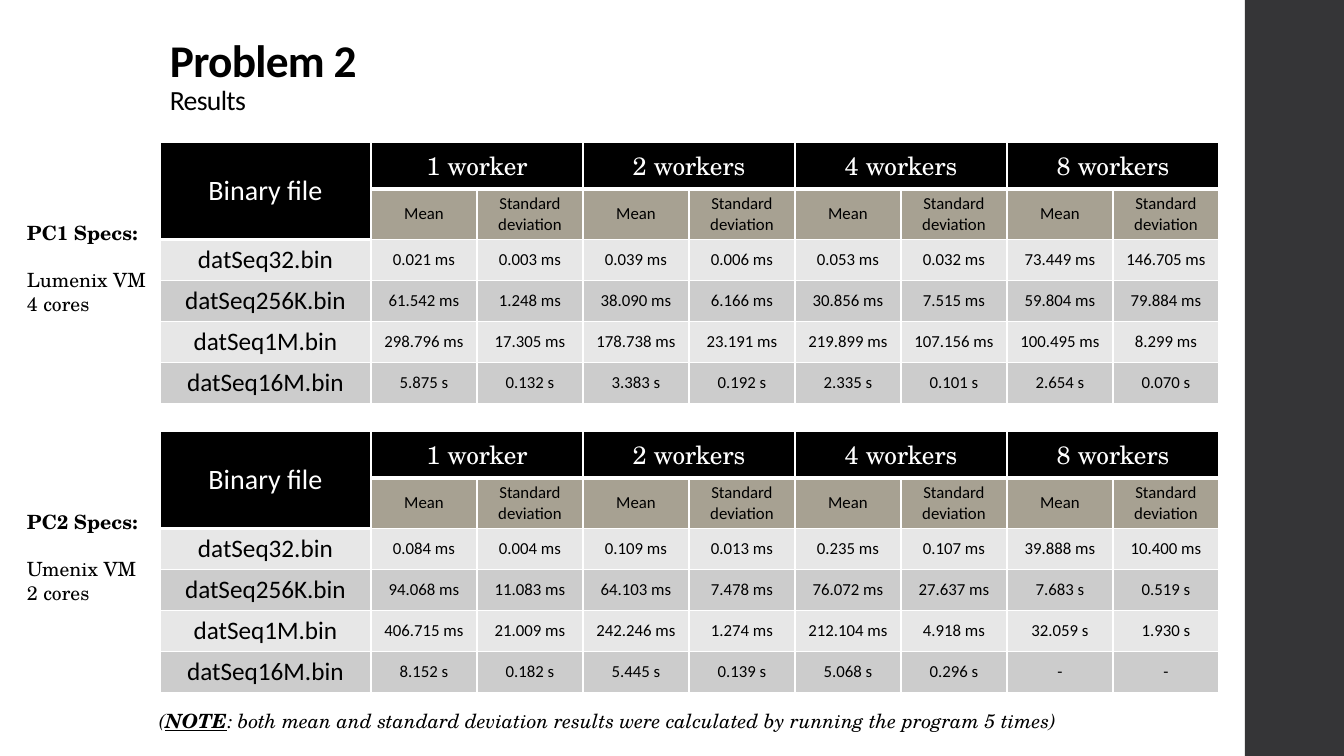
from dataclasses import dataclass

from lxml import etree
from pptx import Presentation
from pptx.dml.color import RGBColor
from pptx.enum.shapes import MSO_SHAPE
from pptx.enum.text import MSO_ANCHOR, PP_ALIGN
from pptx.oxml.ns import qn
from pptx.util import Emu, Pt

RECTANGLE = MSO_SHAPE.RECTANGLE
CENTER = PP_ALIGN.CENTER
TOP, MIDDLE, BOTTOM = MSO_ANCHOR.TOP, MSO_ANCHOR.MIDDLE, MSO_ANCHOR.BOTTOM
EMU_PER_PX = 914400 / 100.8


@dataclass(frozen=True)
class Theme:
    """Colours, fonts and type sizes of the slide."""
    ink: str = "000000"
    paper: str = "FFFFFF"
    sidebar: str = "353537"
    measure: str = "A7A192"
    bands: tuple = ("E7E7E7", "CCCCCC")
    sans: str = "Calibri"
    serif: str = "TeX Gyre Schola"
    title: float = 32.4
    subtitle: float = 19.8
    corner: int = 20
    heading: int = 18
    note: int = 14
    value: int = 12
    thin: int = 1
    thick: int = 3


THEME = Theme()
TABLE_LEFT = 160
COLUMNS = [211] + [106] * 8
ROWS = [47, 50] + [41] * 4
SPECS_DROP = 74
WORKERS = ["1 worker", "2 workers", "4 workers", "8 workers"]
FILES = ["datSeq32.bin", "datSeq256K.bin", "datSeq1M.bin", "datSeq16M.bin"]
PC1_TIMES = [
    ["0.021 ms", "0.003 ms", "0.039 ms", "0.006 ms", "0.053 ms", "0.032 ms", "73.449 ms", "146.705 ms"],
    ["61.542 ms", "1.248 ms", "38.090 ms", "6.166 ms", "30.856 ms", "7.515 ms", "59.804 ms", "79.884 ms"],
    ["298.796 ms", "17.305 ms", "178.738 ms", "23.191 ms", "219.899 ms", "107.156 ms", "100.495 ms", "8.299 ms"],
    ["5.875 s", "0.132 s", "3.383 s", "0.192 s", "2.335 s", "0.101 s", "2.654 s", "0.070 s"],
]
PC2_TIMES = [
    ["0.084 ms", "0.004 ms", "0.109 ms", "0.013 ms", "0.235 ms", "0.107 ms", "39.888 ms", "10.400 ms"],
    ["94.068 ms", "11.083 ms", "64.103 ms", "7.478 ms", "76.072 ms", "27.637 ms", "7.683 s", "0.519 s"],
    ["406.715 ms", "21.009 ms", "242.246 ms", "1.274 ms", "212.104 ms", "4.918 ms", "32.059 s", "1.930 s"],
    ["8.152 s", "0.182 s", "5.445 s", "0.139 s", "5.068 s", "0.296 s", "-", "-"],
]
COMPUTERS = [
    (142, ["PC1 Specs:", "Lumenix VM", "4 cores"], PC1_TIMES),
    (431, ["PC2 Specs:", "Umenix VM", "2 cores"], PC2_TIMES),
]


def px(length):
    """Turn pixels into EMU."""
    return Emu(round(length * EMU_PER_PX))


def set_font(font, face, size, color):
    """Set face, size and colour of a font."""
    font.name = face
    font.size = Pt(size)
    font.color.rgb = RGBColor.from_string(color)


def add_text_frame(page, left, top, width, height, anchor=TOP):
    """Add a wrapping text box and return its text frame."""
    frame = page.shapes.add_textbox(px(left), px(top), px(width), px(height)).text_frame
    frame.word_wrap = True
    frame.vertical_anchor = anchor
    return frame


def add_sidebar(page):
    """Add the dark band at the right edge."""
    band = page.shapes.add_shape(RECTANGLE, px(1245), 0, px(99), px(756))
    band.shadow.inherit = False
    band.fill.solid()
    band.fill.fore_color.rgb = RGBColor.from_string(THEME.sidebar)
    band.line.fill.background()


def add_title(page):
    """Add the title with its subtitle on a second line."""
    para = add_text_frame(page, TABLE_LEFT, 32, 1058, 90, BOTTOM).paragraphs[0]
    para.line_spacing = 0.9
    for text, size, bold in [("Problem 2", THEME.title, True), ("Results", THEME.subtitle, False)]:
        if para.runs:
            para.add_line_break()
        span = para.add_run()
        span.text = text
        set_font(span.font, THEME.sans, size, THEME.ink)
        span.font.bold = bold
        span.font._element.set("spc", "-50")


def add_specs(page, top, lines):
    """Add the specifications of one computer."""
    frame = add_text_frame(page, 17, top, 143, 105)
    frame.text = "\n".join(lines)
    for para in frame.paragraphs:
        set_font(para.font, THEME.serif, THEME.note, THEME.ink)
    heading, system = frame.paragraphs[:2]
    heading.font.bold = True
    system.space_before = Pt(17)


def add_note(page):
    """Add the footnote below the tables."""
    para = add_text_frame(page, 149, 704, 1080, 50).paragraphs[0]
    set_font(para.font, THEME.serif, THEME.note, THEME.ink)
    para.font.italic = True
    message = ": both mean and standard deviation results were calculated by running the program 5 times)"
    for text in ("(", "NOTE", message):
        span = para.add_run()
        span.text = text
        if text == "NOTE":
            span.font.bold = span.font.underline = True


def set_borders(cell, top, bottom):
    """Draw white borders, with given top and bottom widths in points."""
    properties = cell._tc.get_or_add_tcPr()
    sides = [("lnL", THEME.thin), ("lnR", THEME.thin), ("lnT", top), ("lnB", bottom)]
    for place, (side, width) in enumerate(sides):
        line = etree.Element(qn(f"a:{side}"), w=str(Pt(width)))
        fill = etree.SubElement(line, qn("a:solidFill"))
        etree.SubElement(fill, qn("a:srgbClr"), val=THEME.paper)
        properties.insert(place, line)


def cell_style(row, column):
    """Return fill, face, size and text colour for a place in the table."""
    if column == 0 and row < 2:
        return THEME.ink, THEME.sans, THEME.corner, THEME.paper
    if row == 0:
        return THEME.ink, THEME.serif, THEME.heading, THEME.paper
    if row == 1:
        return THEME.measure, THEME.sans, THEME.value, THEME.ink
    size = THEME.value if column else THEME.heading
    return THEME.bands[row % 2], THEME.sans, size, THEME.ink


def fill_cell(cell, text, row, column):
    """Write and style one table cell."""
    fill, face, size, color = cell_style(row, column)
    cell.fill.solid()
    cell.fill.fore_color.rgb = RGBColor.from_string(fill)
    cell.vertical_anchor = MIDDLE
    cell.text = text
    para = cell.text_frame.paragraphs[0]
    para.alignment = CENTER
    set_font(para.font, face, size, color)
    header_end = 0 if column else 1
    set_borders(cell,
                THEME.thick if row == header_end + 1 else THEME.thin,
                THEME.thick if row == header_end else THEME.thin)


def add_results(page, top, times):
    """Add the timing table of one computer."""
    table = page.shapes.add_table(len(ROWS), len(COLUMNS), px(TABLE_LEFT), px(top),
                                  px(sum(COLUMNS)), px(sum(ROWS))).table
    table.first_row = table.horz_banding = False
    for column, width in zip(table.columns, COLUMNS):
        column.width = px(width)
    for row, height in zip(table.rows, ROWS):
        row.height = px(height)
    header = ["Binary file"] + [text for worker in WORKERS for text in (worker, "")]
    measures = [""] + ["Mean", "Standard deviation"] * len(WORKERS)
    body = [[name] + values for name, values in zip(FILES, times)]
    for row, texts in enumerate([header, measures] + body):
        for column, text in enumerate(texts):
            fill_cell(table.cell(row, column), text, row, column)
    table.cell(0, 0).merge(table.cell(1, 0))
    for column in range(1, len(COLUMNS), 2):
        table.cell(0, column).merge(table.cell(0, column + 1))


def main():
    """Build the slide and save it."""
    deck = Presentation()
    deck.slide_width, deck.slide_height = px(1344), px(756)
    page = deck.slides.add_slide(deck.slide_layouts[6])
    add_sidebar(page)
    add_title(page)
    for top, specs, times in COMPUTERS:
        add_results(page, top, times)
        add_specs(page, top + SPECS_DROP, specs)
    add_note(page)
    deck.save("out.pptx")


if __name__ == "__main__":
    main()
